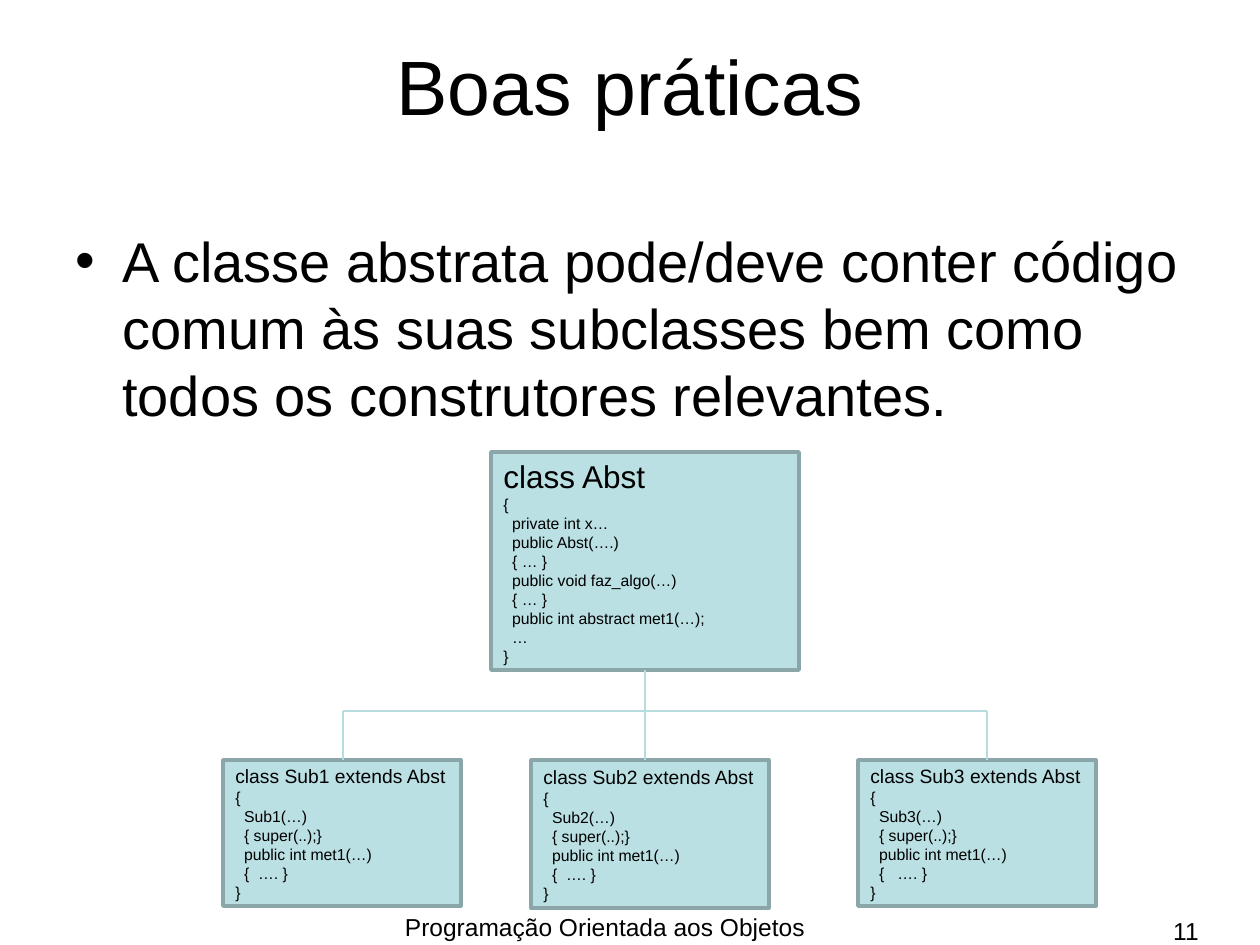
from lxml import etree
from pptx import Presentation
from pptx.dml.color import RGBColor
from pptx.enum.shapes import MSO_CONNECTOR, MSO_SHAPE
from pptx.enum.text import MSO_ANCHOR, PP_ALIGN
from pptx.oxml.ns import qn
from pptx.util import Pt

PX = 914400 / 126
LEFT, CENTER, RIGHT, JUSTIFY = PP_ALIGN.LEFT, PP_ALIGN.CENTER, PP_ALIGN.RIGHT, PP_ALIGN.JUSTIFY
TOP, MIDDLE = MSO_ANCHOR.TOP, MSO_ANCHOR.MIDDLE
RECTANGLE, STRAIGHT = MSO_SHAPE.RECTANGLE, MSO_CONNECTOR.STRAIGHT
COLORS = {"text": "000000", "box": "BBE0E3", "border": "8AA6A8", "link": "B6DCDF"}


def emu(*lengths):
    return [round(length * PX) for length in lengths]


def write_text(shape, lines, sizes, alignment, anchor):
    """Fill a shape with one paragraph per line; the last size serves all further lines."""
    frame = shape.text_frame
    frame.word_wrap = True
    frame.vertical_anchor = anchor
    for index, line in enumerate(lines):
        paragraph = frame.paragraphs[0] if index == 0 else frame.add_paragraph()
        paragraph.text = line
        paragraph.alignment = alignment
        paragraph.font.name = "Arial"
        paragraph.font.size = Pt(sizes[min(index, len(sizes) - 1)])
        paragraph.font.color.rgb = RGBColor.from_string(COLORS["text"])


presentation = Presentation()
presentation.slide_width, presentation.slide_height = emu(1260, 945)
slide = presentation.slides.add_slide(presentation.slide_layouts[6])

# Title, footer and slide number
for text, box, size, alignment, anchor in [
    ("Boas práticas", (63, 6, 1134, 158), 44, CENTER, MIDDLE),
    ("Programação Orientada aos Objetos", (312, 906, 586, 39), 14, CENTER, TOP),
    ("11", (917, 910, 294, 26), 14, RIGHT, TOP),
]:
    write_text(slide.shapes.add_textbox(*emu(*box)), [text], [size], alignment, anchor)

# Bulleted statement
body = slide.shapes.add_textbox(*emu(63, 220, 1134, 232))
properties = body.text_frame.paragraphs[0]._p.get_or_add_pPr()
indent = emu(47)[0]
properties.set("marL", str(indent))
properties.set("indent", str(-indent))
etree.SubElement(properties, qn("a:buFont"), typeface="Arial")
etree.SubElement(properties, qn("a:buChar"), char="•")
statement = (
    "A classe abstrata pode/deve conter código comum às suas subclasses "
    "bem como todos os construtores relevantes."
)
write_text(body, [statement], [32], LEFT, TOP)

# Class boxes
abstract_code = [
    "class Abst",
    "{",
    "  private int x…",
    "  public Abst(….)",
    "  { … }",
    "  public void faz_algo(…)",
    "  { … }",
    "  public int abstract met1(…);",
    "  …",
    "}",
]
class_boxes = [((491, 452, 308, 218), abstract_code, [18, 9])]
for number, left, height, method_body in [
    (1, 223, 146, "  {  …. }"),
    (2, 531, 148, "  {  …. }"),
    (3, 858, 146, "  {   …. }"),
]:
    subclass_code = [
        f"class Sub{number} extends Abst",
        "{",
        f"  Sub{number}(…)",
        "  { super(..);}",
        "  public int met1(…)",
        method_body,
        "}",
    ]
    class_boxes.append(((left, 760, 238, height), subclass_code, [11, 9]))

for box, code, sizes in class_boxes:
    shape = slide.shapes.add_shape(RECTANGLE, *emu(*box))
    shape.shadow.inherit = False
    shape.fill.solid()
    shape.fill.fore_color.rgb = RGBColor.from_string(COLORS["box"])
    shape.line.color.rgb = RGBColor.from_string(COLORS["border"])
    shape.line.width = Pt(2)
    write_text(shape, code, sizes, JUSTIFY, MIDDLE)

# Inheritance tree
for ends in [
    (645, 670, 645, 760),
    (343, 711, 987, 711),
    (343, 711, 343, 760),
    (987, 711, 987, 760),
]:
    connector = slide.shapes.add_connector(STRAIGHT, *emu(*ends))
    connector.line.color.rgb = RGBColor.from_string(COLORS["link"])
    connector.line.width = Pt(0.75)
    etree.SubElement(connector._element.spPr, qn("a:effectLst"))

presentation.save("out.pptx")
